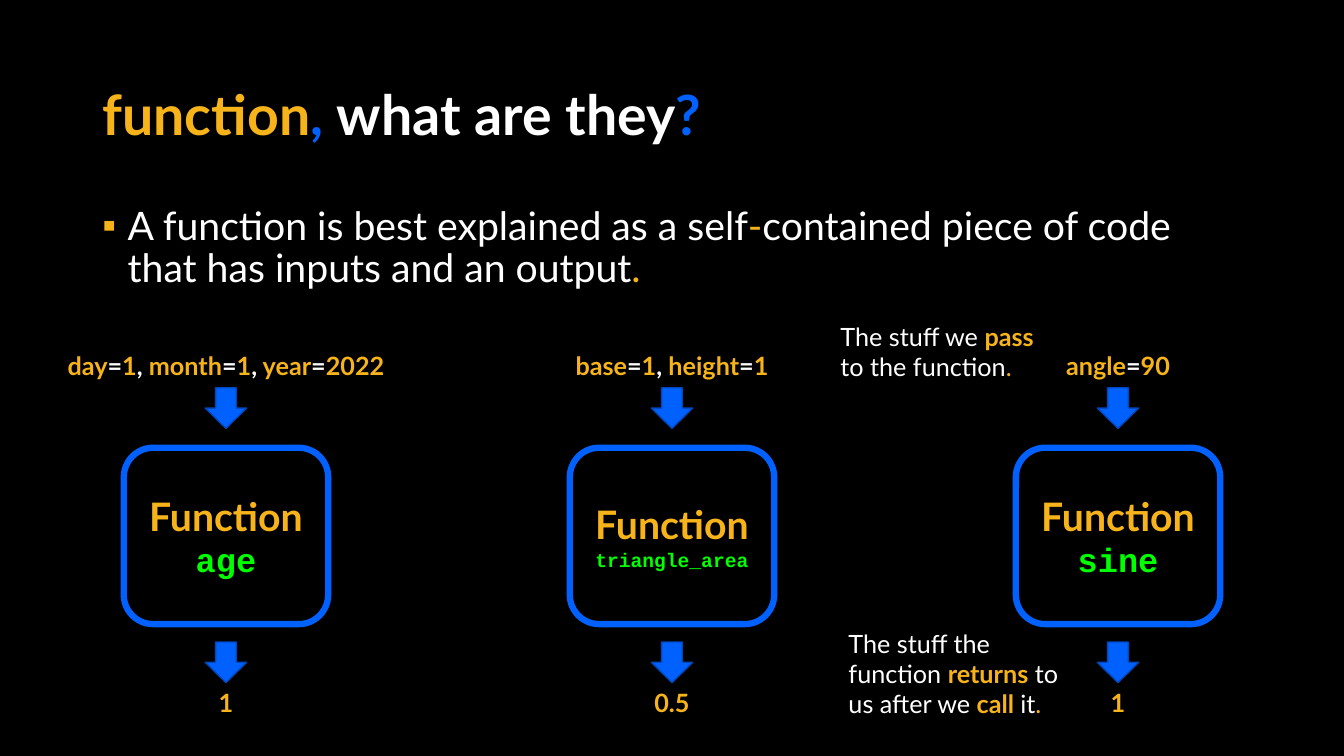
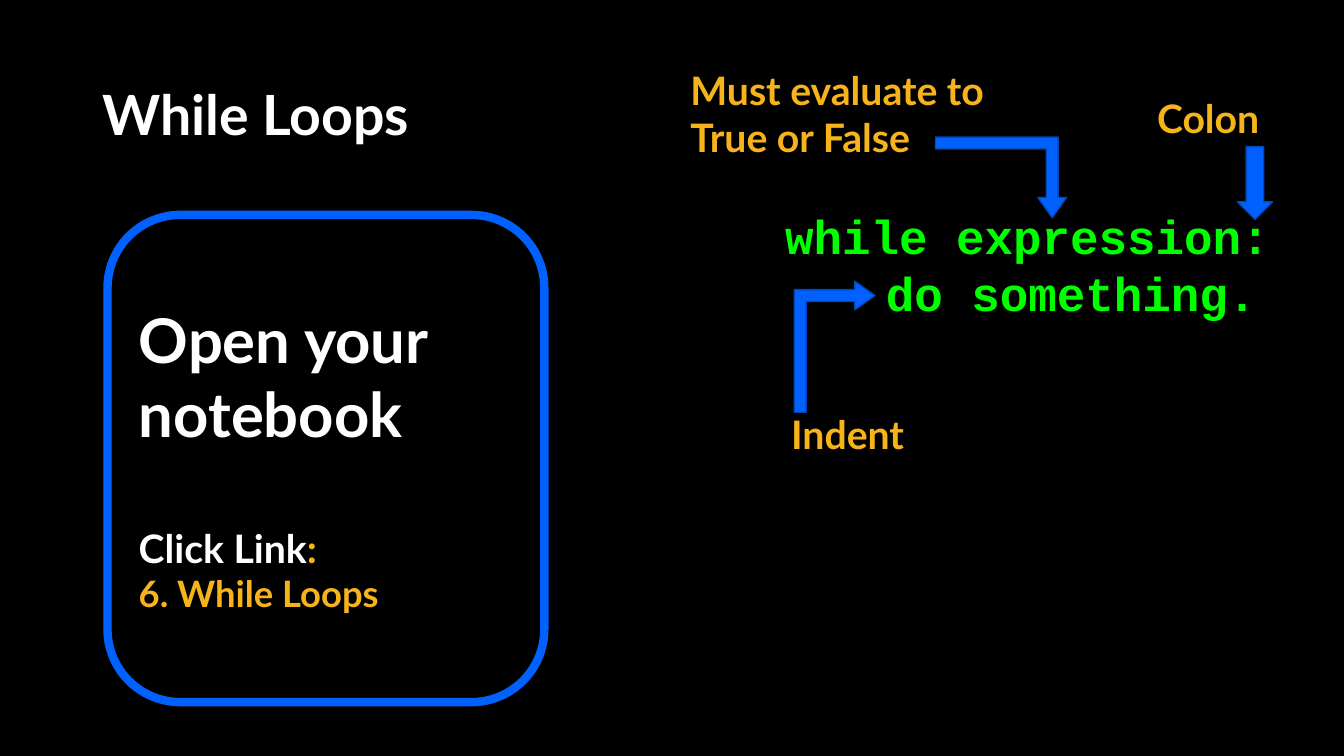
from dataclasses import dataclass
from typing import NamedTuple

from lxml.etree import SubElement
from pptx import Presentation
from pptx.dml.color import RGBColor
from pptx.enum.shapes import MSO_SHAPE as Kind
from pptx.enum.text import MSO_ANCHOR as Anchor
from pptx.enum.text import MSO_AUTO_SIZE as Fit
from pptx.enum.text import PP_ALIGN as Align
from pptx.oxml.ns import qn
from pptx.shapes.autoshape import Shape
from pptx.slide import Slide
from pptx.text.text import TextFrame
from pptx.util import Pt

HUES = {
    "black": "000000",
    "white": "FFFFFF",
    "gold": "F7B41A",
    "blue": "0061FF",
    "navy": "0048BD",
    "green": "00FF00",
}
SANS, MONO = "Lato", "Courier New"


class Run(NamedTuple):
    text: str
    hue: str = ""
    bold: bool = False


class Box(NamedTuple):
    left: float
    top: float
    width: float
    height: float


@dataclass
class Para:
    runs: list[Run]
    size: float
    hue: str = "gold"
    face: str = SANS
    bold: bool = True
    align: Align = Align.LEFT
    lead: float = 1.0
    before: float = 0
    indent: float = 0
    hang: float = 0
    bullet: str = ""


@dataclass
class Unit:
    name: str
    size: float
    args: dict[str, str]
    result: str


@dataclass
class Bend:
    box: Box
    turn: float


def tone(name: str) -> RGBColor:
    return RGBColor.from_string(HUES[name])


def fill_text(frame: TextFrame, paras: list[Para], anchor: Anchor) -> None:
    frame.word_wrap = True
    frame.auto_size = Fit.NONE
    frame.vertical_anchor = anchor
    for i, para in enumerate(paras):
        line = frame.add_paragraph() if i else frame.paragraphs[0]
        line.alignment = para.align
        line.line_spacing = para.lead
        line.space_before = Pt(para.before)
        props = line._p.get_or_add_pPr()
        props.set("marL", str(Pt(para.indent)))
        props.set("indent", str(Pt(-para.hang)))
        if para.bullet:
            tint = SubElement(props, qn("a:buClr"))
            SubElement(tint, qn("a:srgbClr"), val=HUES["gold"])
            SubElement(props, qn("a:buChar"), char=para.bullet)
        font = line.font
        font.name, font.size, font.bold = para.face, Pt(para.size), para.bold
        font.color.rgb = tone(para.hue)
        for part in para.runs:
            run = line.add_run()
            run.text = part.text
            if part.hue:
                run.font.color.rgb = tone(part.hue)
            if part.bold:
                run.font.bold = True


def place(shape: Shape, box: Box) -> None:
    shape.left, shape.top, shape.width, shape.height = map(Pt, box)


def add_text(slide: Slide, box: Box, paras: list[Para]) -> None:
    label = slide.shapes.add_textbox(*map(Pt, box))
    fill_text(label.text_frame, paras, Anchor.TOP)


def add_title(slide: Slide, runs: list[Run]) -> None:
    title = slide.shapes.title
    place(title, Box(66, 57.6, 828, 52))
    fill_text(title.text_frame, [Para(runs, 39.6, "white", lead=0.9)], Anchor.MIDDLE)


def add_frame(slide: Slide, box: Box, width: float, paras: list[Para]) -> None:
    frame = slide.shapes.add_shape(Kind.ROUNDED_RECTANGLE, *map(Pt, box))
    frame.shadow.inherit = False
    frame.fill.background()
    frame.line.color.rgb = tone("blue")
    frame.line.width = Pt(width)
    fill_text(frame.text_frame, paras, Anchor.MIDDLE)


def add_arrow(slide: Slide, box: Box, kind: Kind = Kind.DOWN_ARROW) -> Shape:
    arrow = slide.shapes.add_shape(kind, *map(Pt, box))
    arrow.shadow.inherit = False
    arrow.fill.solid()
    arrow.fill.fore_color.rgb = tone("blue")
    arrow.line.color.rgb = tone("navy")
    arrow.line.width = Pt(1)
    return arrow


def add_bend(slide: Slide, bend: Bend) -> None:
    arrow = add_arrow(slide, bend.box, Kind.BENT_UP_ARROW)
    for i, value in enumerate((0.147, 0.177, 0.25)):
        arrow.adjustments[i] = value
    arrow.rotation = bend.turn
    arrow._element.spPr.xfrm.set("flipH", "1")


def arg_runs(args: dict[str, str]) -> list[Run]:
    runs: list[Run] = []
    for name, value in args.items():
        if runs:
            runs += [Run(",", "white"), Run(" ")]
        runs += [Run(name), Run("=", "white"), Run(value)]
    return runs


def add_unit(slide: Slide, unit: Unit, mid: float) -> None:
    for top, runs in ((247, arg_runs(unit.args)), (487.5, [Run(unit.result)])):
        add_text(slide, Box(mid - 130, top, 260, 29),
                 [Para(runs, 18, align=Align.CENTER)])
    for top in (277, 458.6):
        add_arrow(slide, Box(mid - 14.75, top, 29.5, 29))
    add_frame(slide, Box(mid - 73, 319.8, 146, 126), 4.5, [
        Para([Run("Function")], 28, align=Align.CENTER),
        Para([Run(unit.name)], unit.size, "green", MONO, align=Align.CENTER),
    ])


def draw_intro(slide: Slide) -> None:
    add_title(slide, [Run("function", "gold"), Run(", ", "blue"),
                      Run("what are they"), Run("?", "blue")])
    body = slide.placeholders[1]
    place(body, Box(66, 144, 808, 381))
    fill_text(body.text_frame, [Para(
        [Run("A function is best explained as a self"), Run("-", "gold"),
         Run("contained piece of code that has inputs and an output"),
         Run(".", "gold")],
        28, "white", bold=False, lead=0.9, before=10,
        indent=18, hang=18, bullet="▪")], Anchor.TOP)
    units = [
        Unit("age", 24, {"day": "1", "month": "1", "year": "2022"}, "1"),
        Unit("triangle_area", 14, {"base": "1", "height": "1"}, "0.5"),
        Unit("sine", 24, {"angle": "90"}, "1"),
    ]
    for i, unit in enumerate(units):
        add_unit(slide, unit, 161.4 + 318.6 * i)
    notes = [
        (Box(593.3, 226, 164, 51),
         [Run("The stuff we "), Run("pass", "gold", True),
          Run(" to the function"), Run(".", "gold")]),
        (Box(599, 445, 167, 73),
         [Run("The stuff the function "), Run("returns", "gold", True),
          Run(" to us after we "), Run("call ", "gold", True),
          Run("it"), Run(".", "gold")]),
    ]
    for box, runs in notes:
        add_text(slide, box, [Para(runs, 18, "white", bold=False)])


def draw_loops(slide: Slide) -> None:
    add_title(slide, [Run("While Loops")])
    add_frame(slide, Box(76.8, 153.5, 312, 348), 6, [
        Para([Run("Open your notebook")], 44, "white"),
        Para([Run("Click Link"), Run(":", "gold")], 28, "white", before=53.5),
        Para([Run("6. While Loops")], 26),
    ])
    add_text(slide, Box(553.7, 144, 370, 90), [
        Para([Run("while expression:")], 34, "green", MONO),
        Para([Run("do something.")], 34, "green", MONO, indent=72),
    ])
    labels = [
        (Box(558, 289.4, 110, 41), ["Indent"]),
        (Box(819.4, 64, 100, 41), ["Colon"]),
        (Box(486, 43.8, 250, 75), ["Must evaluate to", "True or False"]),
    ]
    for box, lines in labels:
        add_text(slide, box, [Para([Run(line)], 28) for line in lines])
    add_arrow(slide, Box(883.8, 104.8, 25.2, 52))
    for bend in (Bend(Box(549.4, 218.9, 93.6, 57.6), 90),
                 Bend(Box(668.2, 97.9, 93.6, 57.6), 180)):
        add_bend(slide, bend)


def main() -> None:
    deck = Presentation()
    deck.slide_width, deck.slide_height = Pt(960), Pt(540)
    back = deck.slide_master.background.fill
    back.solid()
    back.fore_color.rgb = tone("black")
    for index, draw in ((1, draw_intro), (5, draw_loops)):
        draw(deck.slides.add_slide(deck.slide_layouts[index]))
    deck.save("out.pptx")


if __name__ == "__main__":
    main()
